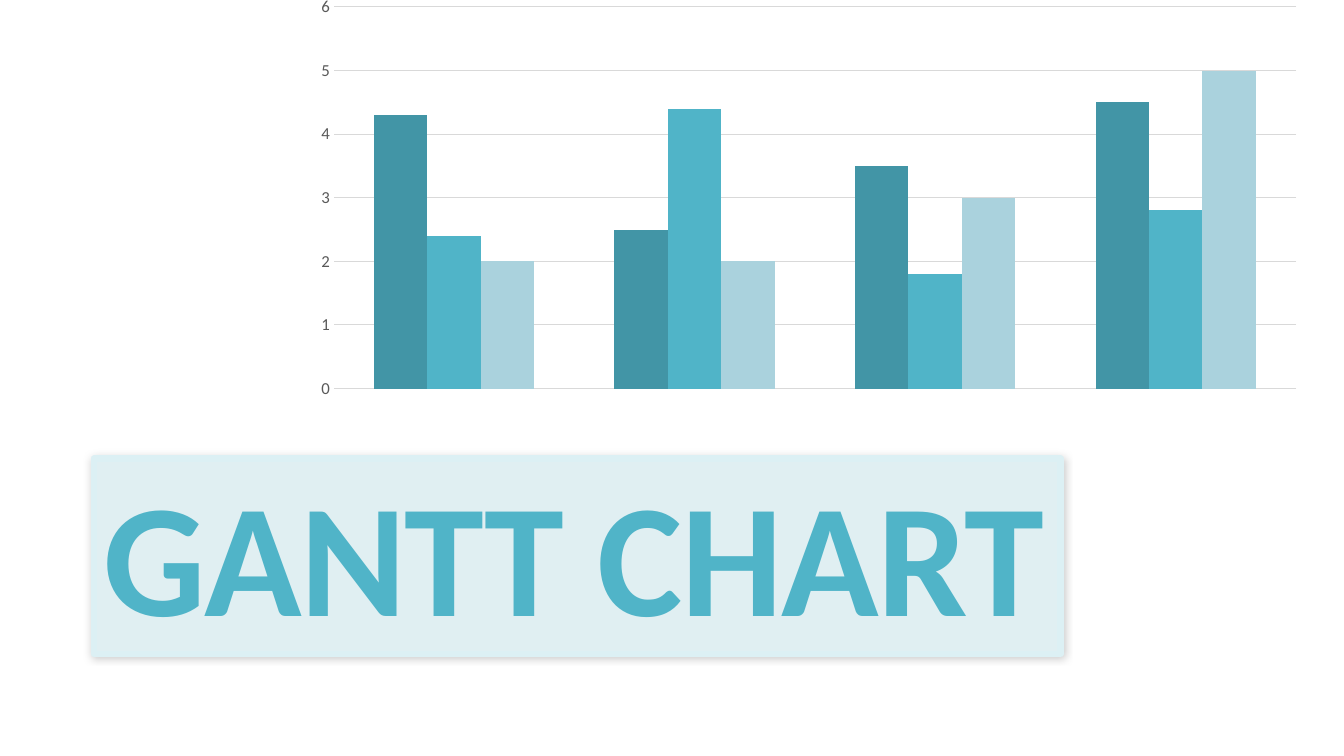
from dataclasses import dataclass

from lxml import etree
from pptx import Presentation, util as u
from pptx.chart.data import CategoryChartData
from pptx.dml.color import RGBColor
from pptx.enum import chart as ch, shapes, text
from pptx.oxml import parse_xml
from pptx.oxml.ns import nsdecls, qn

TITLE = "GANTT CHART"
CATEGORIES = ["1", "2", "3", "4"]
SERIES = [
    ("Series 1", (4.3, 2.5, 3.5, 4.5), "4295A6"),
    ("Series 2", (2.4, 4.4, 1.8, 2.8), "50B4C8"),
    ("Series 3", (2, 2, 3, 5), "AAD2DD"),
]

# left, top, width, height in inches
CHART_BOX = (2.66, -0.17, 10.33, 4.13)
PANEL_BOX = (0.93, 4.55, 9.59, 1.94)
TITLE_BOX = (0.93, 4.55, 11.79, 1.92)
# left, top, width, height as shares of the chart
PLOT_SHARES = {"x": 0.063, "y": 0.058, "w": 0.924, "h": 0.917}


@dataclass(frozen=True)
class Theme:
    font: str = "Calibri"
    title: str = "50B4C8"
    panel: str = "E0EFF2"
    panel_edge: str = "DCF0F4"
    axis_text: str = "595959"
    grid: str = "D9D9D9"
    shadow: str = "000000"
    title_size: float = 115
    title_spacing: float = -1.2
    chart_size: float = 10
    axis_size: float = 12
    grid_width: float = 0.75
    edge_width: float = 4.5


THEME = Theme()


def inches(box):
    return [u.Inches(length) for length in box]


def style_font(font, size, color):
    font.name = THEME.font
    font.size = u.Pt(size)
    font.color.rgb = RGBColor.from_string(color)


def fix_plot_area(chart):
    """Pin the inner plot area to its shares of the chart frame."""
    plot_area = chart._chartSpace.chart.plotArea
    for old in plot_area.findall(qn("c:layout")):
        plot_area.remove(old)
    layout = parse_xml(f"<c:layout {nsdecls('c')}/>")
    manual = etree.SubElement(layout, qn("c:manualLayout"))
    settings = {"layoutTarget": "inner", "xMode": "edge", "yMode": "edge", **PLOT_SHARES}
    for tag, setting in settings.items():
        etree.SubElement(manual, qn(f"c:{tag}")).set("val", str(setting))
    plot_area.insert(0, layout)


def add_columns(slide):
    data = CategoryChartData()
    data.categories = CATEGORIES
    for name, values, _ in SERIES:
        data.add_series(name, values)
    chart = slide.shapes.add_chart(
        ch.XL_CHART_TYPE.COLUMN_CLUSTERED, *inches(CHART_BOX), data
    ).chart
    chart.has_legend = False
    chart.has_title = False
    style_font(chart.font, THEME.chart_size, "000000")
    fix_plot_area(chart)

    columns = chart.plots[0]
    columns.gap_width = 150
    columns.overlap = 0
    columns.vary_by_categories = False
    for series, (_, _, color) in zip(columns.series, SERIES):
        series.format.fill.solid()
        series.format.fill.fore_color.rgb = RGBColor.from_string(color)

    chart.category_axis.visible = False
    scale = chart.value_axis
    scale.minimum_scale, scale.maximum_scale, scale.major_unit = 0, 6, 1
    scale.major_tick_mark = scale.minor_tick_mark = ch.XL_TICK_MARK.NONE
    scale.format.line.fill.background()
    style_font(scale.tick_labels.font, THEME.axis_size, THEME.axis_text)
    scale.has_major_gridlines = True
    grid = scale.major_gridlines.format.line
    grid.color.rgb = RGBColor.from_string(THEME.grid)
    grid.width = u.Pt(THEME.grid_width)


def add_panel(slide):
    panel = slide.shapes.add_shape(shapes.MSO_SHAPE.RECTANGLE, *inches(PANEL_BOX))
    panel.fill.solid()
    panel.fill.fore_color.rgb = RGBColor.from_string(THEME.panel)
    panel.line.color.rgb = RGBColor.from_string(THEME.panel_edge)
    panel.line.width = u.Pt(THEME.edge_width)
    etree.SubElement(panel.line._ln, qn("a:round"))
    panel.shadow.inherit = False
    effects = panel._element.spPr.find(qn("a:effectLst"))
    effects.append(parse_xml(
        f'<a:outerShdw {nsdecls("a")} blurRad="{u.Pt(6)}" dist="0" dir="{225 * 60000}"'
        f' algn="tl" rotWithShape="0"><a:srgbClr val="{THEME.shadow}">'
        '<a:alpha val="20000"/></a:srgbClr></a:outerShdw>'
    ))


def set_title(slide):
    title = slide.shapes.title
    title.left, title.top, title.width, title.height = inches(TITLE_BOX)
    frame = title.text_frame
    frame.word_wrap = True
    frame.auto_size = text.MSO_AUTO_SIZE.NONE
    frame.vertical_anchor = text.MSO_ANCHOR.BOTTOM
    line = frame.paragraphs[0]
    line.alignment = text.PP_ALIGN.LEFT
    line.line_spacing = 0.8
    run = line.add_run()
    run.text = TITLE
    style_font(run.font, THEME.title_size, THEME.title)
    run.font.bold = True
    run.font._element.set("spc", str(round(THEME.title_spacing * 100)))
    # Bring the title in front of the panel
    slide.shapes._spTree.append(title._element)


def main():
    deck = Presentation()
    deck.slide_width, deck.slide_height = inches((13.33, 7.5))
    slide = deck.slides.add_slide(deck.slide_layouts[5])
    add_columns(slide)
    add_panel(slide)
    set_title(slide)
    deck.save("out.pptx")


if __name__ == "__main__":
    main()
